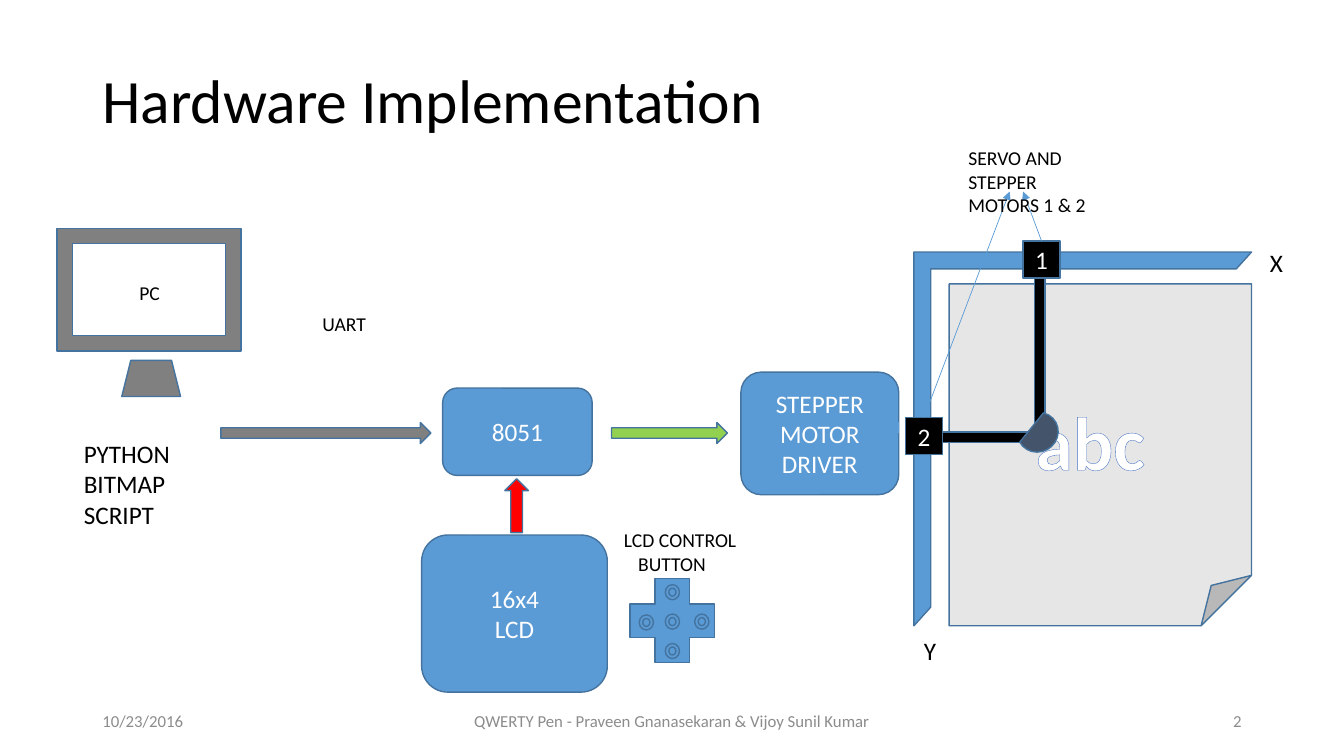
"""Build the hardware implementation slide on a grid of 160 columns by 90 rows."""
from lxml import etree
from pptx import Presentation
from pptx import util as u
from pptx.dml.color import RGBColor
from pptx.enum import dml, shapes, text
from pptx.oxml import ns

CELL = u.Inches(1 / 12)
FONT = "Calibri"
BLUE, EDGE, GRAY = "5B9BD5", "43739E", "808080"
BLACK, WHITE, MUTED = "000000", "FFFFFF", "8C8C8C"
KIND = shapes.MSO_SHAPE
LEFT, CENTER, RIGHT = text.PP_ALIGN.LEFT, text.PP_ALIGN.CENTER, text.PP_ALIGN.RIGHT
TOP, MIDDLE = text.MSO_ANCHOR.TOP, text.MSO_ANCHOR.MIDDLE


def grid(*cells):
    return [int(c * CELL) for c in cells]


def rgb(color):
    return RGBColor.from_string(color)


def write(tf, words, size, color, align, anchor):
    tf.text = words
    tf.word_wrap = True
    tf.vertical_anchor = anchor
    for p in tf.paragraphs:
        p.alignment = align
        for r in p.runs:
            r.font.name = FONT
            r.font.size = u.Pt(size)
            r.font.color.rgb = rgb(color)


def label(s, words, at, size=14, color=BLACK, align=LEFT, anchor=TOP):
    sp = s.shapes.add_textbox(*grid(*at))
    write(sp.text_frame, words, size, color, align, anchor)
    return sp.text_frame.paragraphs[0]


def paint(sp, fill):
    sp.shadow.inherit = False
    sp.fill.solid()
    sp.fill.fore_color.rgb = rgb(fill)
    sp.line.color.rgb = rgb(EDGE)
    sp.line.width = u.Pt(1)


def block(s, kind, at, fill=BLUE, words="", turn=0, adjust=()):
    sp = s.shapes.add_shape(kind, *grid(*at))
    paint(sp, fill)
    sp.rotation = turn
    for i, value in enumerate(adjust):
        sp.adjustments[i] = value
    if words:
        write(sp.text_frame, words, 18, WHITE, CENTER, MIDDLE)
    return sp


def pen_arm(s, left, top, right, bottom, thick):
    outline = s.shapes.build_freeform(*grid(right, top))
    corners = [(right, bottom), (left, bottom), (left, bottom - thick),
               (right - thick, bottom - thick), (right - thick, top)]
    outline.add_line_segments([grid(*c) for c in corners], close=True)
    paint(outline.convert_to_shape(), BLACK)


def leader(s, start, end, sp, side, arrow=True):
    line = s.shapes.add_connector(shapes.MSO_CONNECTOR.STRAIGHT, *grid(*start, *end))
    line.begin_connect(sp, side)
    line.line.color.rgb = rgb(BLUE)
    line.line.width = u.Pt(0.5)
    if arrow:
        etree.SubElement(line.line._get_or_add_ln(), ns.qn("a:tailEnd"), type="triangle")
    etree.SubElement(line._element.spPr, ns.qn("a:effectLst"))


def sample_writing(s, words, at):
    p = label(s, words, at, 54, align=CENTER)
    font = p.runs[0].font
    font.bold = True
    font.fill.patterned()
    font.fill.pattern = dml.MSO_PATTERN.LIGHT_DOWNWARD_DIAGONAL
    font.fill.fore_color.rgb = rgb("8FAADC")
    font.fill.back_color.rgb = rgb(WHITE)
    ln = etree.Element(ns.qn("a:ln"), w=str(u.Pt(1)))
    fill = etree.SubElement(ln, ns.qn("a:solidFill"))
    etree.SubElement(fill, ns.qn("a:srgbClr"), val="4472C4")
    p.runs[0]._r.get_or_add_rPr().insert(0, ln)


def control_pad(s):
    x, y = 79.2, 73.1
    for dx, dy in [(0, 0), (0, -3.5), (0, 3.5), (-3.1, 0.1), (3.5, 0)]:
        block(s, KIND.DONUT, (x + dx, y + dy, 1.7, 1.8))


def main():
    prs = Presentation()
    prs.slide_width, prs.slide_height = grid(160, 90)
    s = prs.slides.add_slide(prs.slide_layouts[6])

    title = label(s, "Hardware Implementation", (11, 3.6, 138, 17.4), 44, anchor=MIDDLE)
    title.line_spacing = 0.9
    for words, x, w, align in [
        ("10/23/2016", 11, 36, LEFT),
        ("QWERTY Pen - Praveen Gnanasekaran & Vijoy Sunil Kumar", 53, 54, CENTER),
        ("2", 113, 36, RIGHT),
    ]:
        label(s, words, (x, 83.4, w, 4.8), 12, MUTED, align, MIDDLE)

    block(s, KIND.ROUNDED_RECTANGLE, (50.2, 63.7, 22.1, 18.7), words="16x4\nLCD")
    block(s, KIND.FRAME, (6.8, 27.2, 21.9, 14.6), GRAY)
    block(s, KIND.TRAPEZOID, (14.5, 42.9, 7, 4.3), GRAY)
    block(s, KIND.CROSS, (75, 68.9, 10.1, 10), adjust=[0.3])
    block(s, KIND.HALF_FRAME, (108.8, 30, 40.2, 44.5), adjust=[0.05, 0.05])
    label(s, "X", (150, 28.9, 3.6, 4.8), 18)
    label(s, "Y", (108.8, 75.1, 3.6, 4.8), 18)
    block(s, KIND.FOLDED_CORNER, (113, 33.8, 36, 40.7), "E7E6E6")
    sample_writing(s, "abc", (122, 46.4, 15.6, 12.1))

    driver = block(s, KIND.ROUNDED_RECTANGLE, (88.2, 44.3, 18.8, 14.6),
                   words="STEPPER\nMOTOR\nDRIVER")
    block(s, KIND.ROUNDED_RECTANGLE, (52.7, 46.2, 17.8, 10.4), words="8051")
    block(s, KIND.RIGHT_ARROW, (26.3, 50.3, 25, 2.5), GRAY)
    block(s, KIND.RIGHT_ARROW, (72.8, 50.3, 13.8, 2.5), "92D050")
    pen_arm(s, 111.2, 32.7, 124.4, 52.7, 1.25)
    motor2 = block(s, KIND.RECTANGLE, (107.8, 49.7, 4.4, 4.4), BLACK, "2")
    motor1 = block(s, KIND.RECTANGLE, (121.8, 28.7, 4.4, 4.4), BLACK, "1")
    block(s, KIND.RIGHT_ARROW, (58.3, 58.8, 6.4, 2.8), "FF0000", turn=270)
    block(s, KIND.CHORD, (121.2, 49, 4.7, 4.9), "44546A", turn=241.3)

    label(s, "UART", (37.2, 36.6, 10.3, 4.1))
    button = label(s, "LCD CONTROL BUTTON", (73.1, 62.3, 16.2, 6.8))
    hang = u.Inches(0.14)
    pPr = button._p.get_or_add_pPr()
    pPr.set("marL", str(hang))
    pPr.set("indent", str(-hang))
    label(s, "PC", (15.4, 32.9, 10.3, 4.1))
    leader(s, (107, 51.6), (107, 50.3), driver, 3, arrow=False)
    leader(s, (110, 49.7), (120.2, 22.8), motor2, 0)
    leader(s, (124, 28.7), (121.8, 22.8), motor1, 0)
    label(s, "SERVO AND STEPPER MOTORS 1 & 2", (114.1, 16.8, 17.6, 9.7))
    control_pad(s)
    label(s, "PYTHON BITMAP SCRIPT", (8.8, 51.6, 15.1, 12.1), 18)

    prs.save("out.pptx")


if __name__ == "__main__":
    main()
